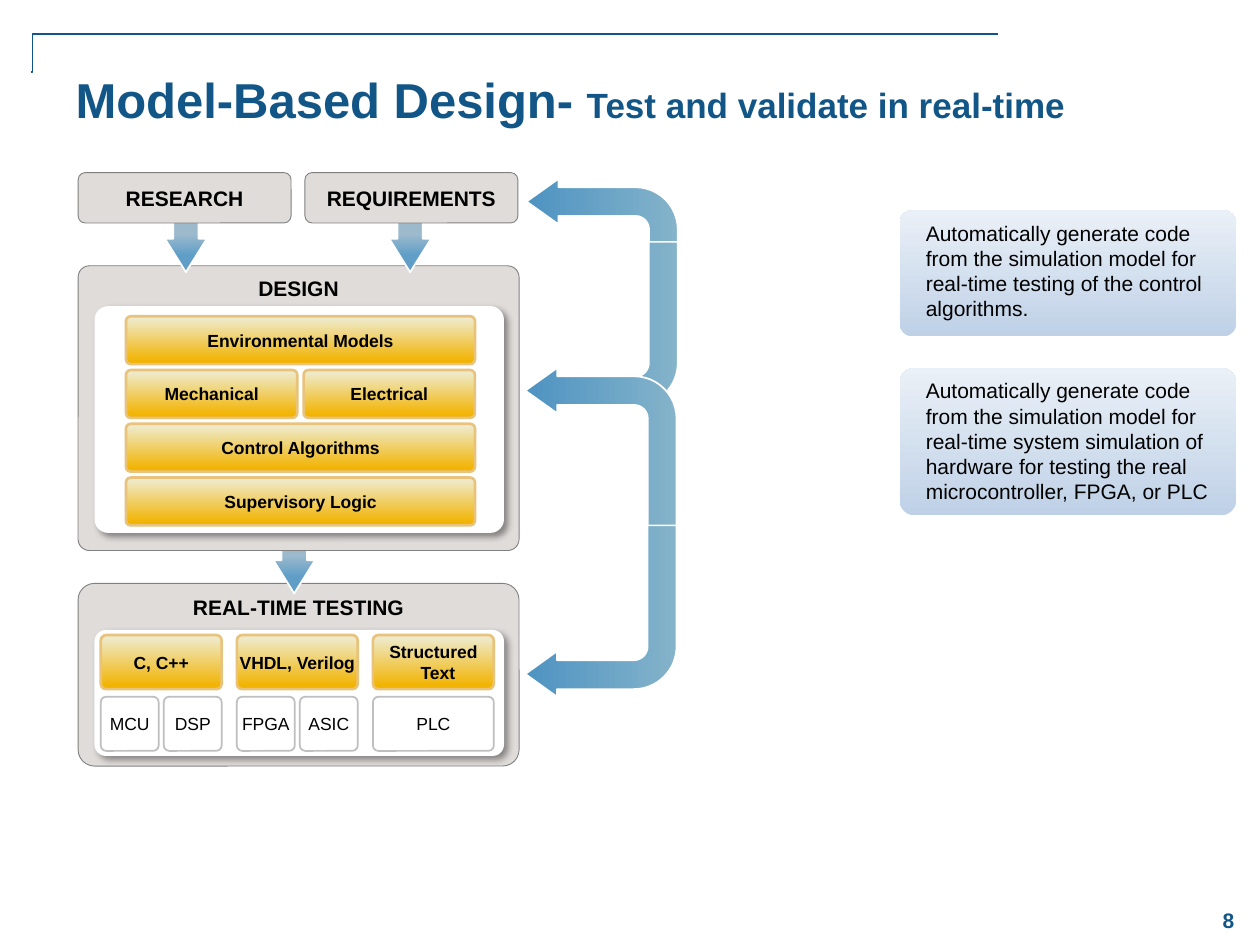
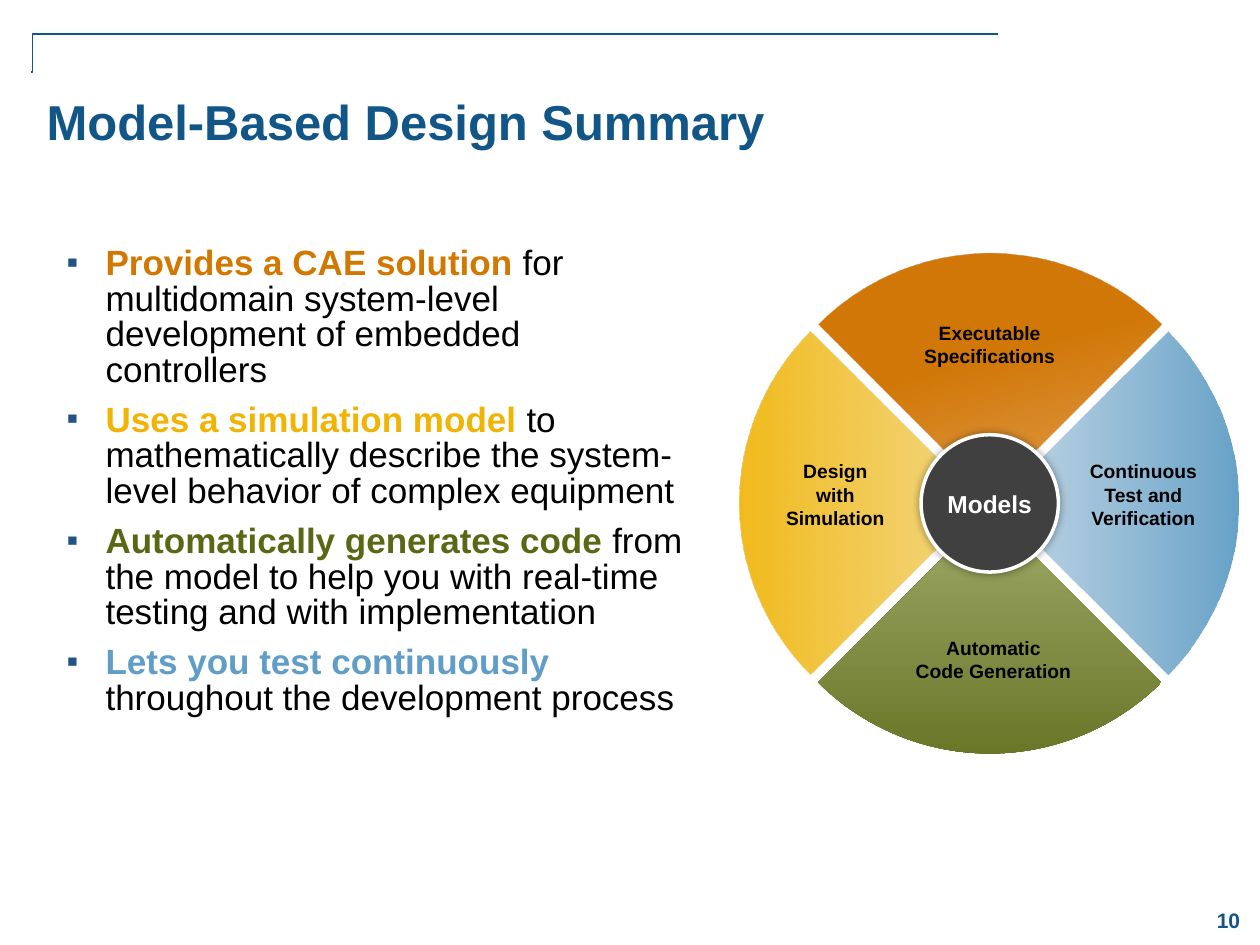
"""Build two slides on model-based design: real-time testing and a summary."""
import math

import lxml.etree
import pptx
import pptx.dml.color
import pptx.enum.shapes
import pptx.enum.text
import pptx.oxml.ns
import pptx.util

Inches = pptx.util.Inches
Pt = pptx.util.Pt
qn = pptx.oxml.ns.qn
SHAPES = pptx.enum.shapes.MSO_SHAPE
ALIGN = pptx.enum.text.PP_ALIGN
ANCHOR = pptx.enum.text.MSO_ANCHOR

FONT = "Arial"
COLORS = {
    "navy": "125687", "black": "000000", "white": "FFFFFF",
    "panel": "E0DCDA", "panel_line": "808080", "chip_line": "BFBFBF",
    "gold": "F2B404", "cream": "EEEACA", "gold_line": "E9C27B",
    "steel": "9CBACC", "blue": "609EC8", "flow": "4E93C2", "flow_end": "84B3CA",
    "callout": "BFD1E7", "callout_end": "EAF0F7", "bullet": "215383",
    "orange": "D27800", "orange_fill": "D27809", "peach": "FDE5C7",
    "olive": "5A6816", "lime": "EBF2C3", "hub": "404040",
}
GOLD_BLEND = ((7, "gold", 100), (95, "cream", 100))
ARROW_BLEND = ((60, "steel", 100), (82, "blue", 100))
FLOW_BLEND = ((0, "flow", 100), (100, "flow_end", 100))
CALLOUT_BLEND = ((0, "callout", 100), (100, "callout_end", 100))


def rgb(name):
    return pptx.dml.color.RGBColor.from_string(COLORS[name])


def add_element(parent, tag, **attributes):
    element = lxml.etree.SubElement(parent, qn(tag))
    for key, value in attributes.items():
        element.set(key, str(value))
    return element


def set_line(shape, color, width):
    if color is None:
        shape.line.fill.background()
    else:
        shape.line.color.rgb = rgb(color)
        shape.line.width = Pt(width)


def set_gradient(shape, stops, angle):
    """Fill with (position, color, opacity) stops; the angle runs clockwise."""
    shape.fill.gradient()
    shape.fill.gradient_angle = (360 - angle) % 360
    for stop, (position, color, _) in zip(shape.fill.gradient_stops, stops):
        stop.position = position / 100
        stop.color.rgb = rgb(color)
    color_elements = list(shape._element.spPr.iter(qn("a:srgbClr")))
    for element, (_, _, opacity) in zip(color_elements, stops):
        if opacity < 100:
            add_element(element, "a:alpha", val=opacity * 1000)


def set_shadow(shape, blur, distance, angle):
    effects = shape._element.spPr.find(qn("a:effectLst"))
    shadow = add_element(effects, "a:outerShdw", blurRad=Pt(blur), dist=Pt(distance),
                         dir=angle * 60000, algn="ctr", rotWithShape=0)
    color = add_element(shadow, "a:srgbClr", val=COLORS["black"])
    add_element(color, "a:alpha", val=40000)


def set_hanging(paragraph, indent):
    properties = paragraph._p.get_or_add_pPr()
    properties.set("marL", str(Inches(indent)))
    properties.set("indent", str(-Inches(indent)))
    return properties


def add_run(paragraph, text, size, color="black", bold=False):
    run = paragraph.add_run()
    run.text = text
    run.font.name = FONT
    run.font.size = Pt(size)
    run.font.bold = bold
    run.font.color.rgb = rgb(color)


def set_text(shape, lines, size, color="black", bold=False, align=ALIGN.CENTER,
             anchor=ANCHOR.MIDDLE, inset=None, hanging=0):
    frame = shape.text_frame
    frame.word_wrap = True
    frame.vertical_anchor = anchor
    if inset is not None:
        frame.margin_left = frame.margin_right = Inches(inset)
        frame.margin_top = frame.margin_bottom = Inches(inset)
    for index, line in enumerate(lines):
        paragraph = frame.paragraphs[0] if index == 0 else frame.add_paragraph()
        paragraph.alignment = align
        if hanging:
            set_hanging(paragraph, hanging)
        add_run(paragraph, line, size, color, bold)


def add_box(slide, kind, at, fill=None, blend=None, angle=0, line=None, width=1,
            adjustments=(), rotation=0):
    shape = slide.shapes.add_shape(kind, *map(Inches, at))
    shape.shadow.inherit = False
    shape.rotation = rotation
    for index, value in enumerate(adjustments):
        shape.adjustments[index] = value
    if blend:
        set_gradient(shape, blend, angle)
    else:
        shape.fill.solid()
        shape.fill.fore_color.rgb = rgb(fill)
    set_line(shape, line, width)
    return shape


def add_text(slide, at, lines, size, **style):
    set_text(slide.shapes.add_textbox(*map(Inches, at)), lines, size, **style)


def add_panel(slide, at, corner, label, anchor=ANCHOR.TOP):
    panel = add_box(slide, SHAPES.ROUNDED_RECTANGLE, at, fill="panel",
                    line="panel_line", width=0.5, adjustments=[corner])
    set_text(panel, [label], 12, bold=True, anchor=anchor)


def add_inner_panel(slide, at, corner):
    panel = add_box(slide, SHAPES.ROUNDED_RECTANGLE, at, fill="white",
                    adjustments=[corner])
    set_shadow(panel, 4, 3, 45)


def add_gold_box(slide, at, label):
    box = add_box(slide, SHAPES.ROUNDED_RECTANGLE, at, blend=GOLD_BLEND, angle=270,
                  line="gold_line", width=1.5, adjustments=[0.1])
    set_text(box, [label], 10, bold=True, inset=0.01, hanging=0.07)


def add_target_chip(slide, at, label):
    chip = add_box(slide, SHAPES.ROUNDED_RECTANGLE, at, fill="white",
                   line="chip_line", adjustments=[0.1])
    set_text(chip, [label], 10, inset=0)


def add_down_arrow(slide, left, top):
    add_box(slide, SHAPES.LEFT_RIGHT_ARROW, (left, top, 0.75, 0.33),
            blend=ARROW_BLEND, line="white", adjustments=[0.61, 0.8], rotation=90)


def arc(center_x, center_y, radius, start, end, steps=16):
    angles = [math.radians(start + (end - start) * i / steps) for i in range(steps + 1)]
    return [(center_x + radius * math.cos(a), center_y + radius * math.sin(a))
            for a in angles]


def add_feedback_loop(slide, left, top, upper_height, lower_top):
    """Draw a bent arrow up to one stage and a mirrored elbow down to the next."""
    upper = add_box(slide, SHAPES.BENT_ARROW, (left, top, 1.2, upper_height),
                    blend=FLOW_BLEND, angle=180, line="white",
                    adjustments=[0.19, 0.15, 0.21, 0.28])
    upper._element.spPr.find(qn("a:xfrm")).set("flipH", "1")
    outline = [(1.2, 0), *arc(0.86, 0.96, 0.34, 0, 90)]
    outline += [(0.25, 1.3), (0.25, 1.36), (0, 1.18), (0.25, 1), (0.25, 1.07)]
    outline += [*arc(0.86, 0.96, 0.11, 90, 0), (0.97, 0)]
    points = [(Inches(left + x), Inches(lower_top + y)) for x, y in outline]
    builder = slide.shapes.build_freeform(*points[0])
    builder.add_line_segments(points[1:], close=True)
    elbow = builder.convert_to_shape()
    elbow.shadow.inherit = False
    set_gradient(elbow, FLOW_BLEND, 0)
    set_line(elbow, "white", 1)


def add_callout(slide, top, height, text):
    add_box(slide, SHAPES.ROUNDED_RECTANGLE, (7.14, top, 2.67, height),
            blend=CALLOUT_BLEND, angle=270, adjustments=[0.1])
    add_text(slide, (7.25, top + 0.03, 2.5, height - 0.07), [text], 12,
             align=ALIGN.LEFT, anchor=ANCHOR.TOP)


def add_base_slide(presentation, title_at, title_runs, number):
    slide = presentation.slides.add_slide(presentation.slide_layouts[5])
    rule = slide.shapes.add_connector(pptx.enum.shapes.MSO_CONNECTOR.ELBOW,
                                      *map(Inches, (7.92, 0.27, 0.25, 0.57)))
    set_line(rule, "navy", 1)
    properties = rule._element.spPr
    add_element(properties, "a:effectLst")
    guides = properties.find(qn("a:prstGeom")).find(qn("a:avLst"))
    add_element(guides, "a:gd", name="adj1", fmla="val 99900")
    add_text(slide, (9.5, 7.09, 0.5, 0.42), [number], 12, color="navy", bold=True)
    title = slide.shapes.title
    title.left, title.top, title.width, title.height = map(Inches, title_at)
    title.text_frame.vertical_anchor = ANCHOR.TOP
    paragraph = title.text_frame.paragraphs[0]
    paragraph.alignment = ALIGN.LEFT
    for text, size in title_runs:
        add_run(paragraph, text, size, "navy", True)
    return slide


def add_bullets(slide, at, items):
    frame = slide.shapes.add_textbox(*map(Inches, at)).text_frame
    frame.word_wrap = True
    for index, (lead, color, rest) in enumerate(items):
        paragraph = frame.paragraphs[0] if index == 0 else frame.add_paragraph()
        properties = set_hanging(paragraph, 0.31)
        bullet_color = add_element(properties, "a:buClr")
        add_element(bullet_color, "a:srgbClr", val=COLORS["bullet"])
        add_element(properties, "a:buSzPct", val=95000)
        add_element(properties, "a:buFont", typeface=FONT)
        add_element(properties, "a:buChar", char="▪")
        paragraph.line_spacing = 0.85
        paragraph.space_before = Pt(4 if index else 0)
        paragraph.space_after = Pt(4)
        add_run(paragraph, lead, 20, color, True)
        add_run(paragraph, rest, 20)


def build_testing_slide(presentation):
    slide = add_base_slide(
        presentation, (0.5, 0.5, 8.83, 1.08),
        [("Model-Based Design- ", 28), ("Test and validate in real-time", 20)], "8")
    add_panel(slide, (0.62, 4.63, 3.5, 1.45), 0.09, "REAL-TIME TESTING")
    add_inner_panel(slide, (0.75, 5, 3.25, 1), 0.09)
    add_down_arrow(slide, 1.96, 4.17)
    add_feedback_loop(slide, 4.18, 1.42, 1.33, 1.92)
    add_panel(slide, (0.62, 2.11, 3.5, 2.26), 0.04, "DESIGN")
    add_inner_panel(slide, (0.75, 2.43, 3.25, 1.8), 0.06)

    design_rows = [["Environmental Models"], ["Mechanical", "Electrical"],
                   ["Control Algorithms"], ["Supervisory Logic"]]
    for row, labels in enumerate(design_rows):
        width = 2.77 if len(labels) == 1 else 1.36
        for column, label in enumerate(labels):
            add_gold_box(slide, (1 + 1.41 * column, 2.51 + 1.28 * row / 3, width, 0.38),
                         label)
    add_feedback_loop(slide, 4.17, 2.92, 2.08, 4.17)

    for column, label in enumerate(["RESEARCH", "REQUIREMENTS"]):
        add_down_arrow(slide, 1.1 + 1.78 * column, 1.62)
        add_panel(slide, (0.62 + 1.8 * column, 1.37, 1.69, 0.4), 0.14, label,
                  ANCHOR.MIDDLE)

    code_targets = [("C, C++", ["MCU", "DSP"]), ("VHDL, Verilog", ["FPGA", "ASIC"]),
                    ("Structured Text", ["PLC"])]
    for column, (language, targets) in enumerate(code_targets):
        left = 0.8 + 1.08 * column
        add_gold_box(slide, (left, 5.04, 0.96, 0.43), language)
        width = 0.96 if len(targets) == 1 else 0.46
        for index, target in enumerate(targets):
            add_target_chip(slide, (left + 0.5 * index, 5.53, width, 0.43), target)

    add_callout(slide, 1.67, 1, "Automatically generate code from the simulation model "
                "for real-time testing of the control algorithms.")
    add_callout(slide, 2.92, 1.17, "Automatically generate code from the simulation model "
                "for real-time system simulation of hardware for testing the real "
                "microcontroller, FPGA, or PLC")


def build_summary_slide(presentation):
    slide = add_base_slide(presentation, (0.27, 0.68, 9.17, 1.25),
                           [("Model-Based Design Summary", 28)], "10")
    add_bullets(slide, (0.43, 1.91, 5.1, 4.83), [
        ("Provides a CAE solution ", "orange",
         "for multidomain system-level development of embedded controllers"),
        ("Uses a simulation model ", "gold",
         "to mathematically describe the system-level behavior of complex equipment"),
        ("Automatically generates code ", "olive",
         "from the model to help you with real-time testing and with implementation"),
        ("Lets you test continuously ", "blue", "throughout the development process"),
    ])
    wedges = [
        (5.93, 2.01, 45, 30, ((34, "orange_fill", 100), (100, "peach", 82))),
        (5.87, 2.07, 315, 45, ((7, "gold", 100), (95, "cream", 60))),
        (5.98, 2.07, 135, 45, ((0, "blue", 100), (100, "steel", 48))),
        (5.93, 2.13, 225, 45, ((4, "olive", 100), (100, "lime", 100))),
    ]
    for left, top, rotation, angle, blend in wedges:
        add_box(slide, SHAPES.PIE, (left, top, 3.85, 3.85), blend=blend, angle=angle,
                adjustments=[108, 162], rotation=rotation)
    wedge_labels = [
        ((6.04, 3.6, 1.18, 0.77), ["Design", "with", "Simulation"]),
        ((7.12, 2.5, 1.47, 0.47), ["Executable", "Specifications"]),
        ((8.38, 3.6, 1.39, 0.77), ["Continuous", "Test and", "Verification"]),
        ((7, 5, 1.77, 0.47), ["Automatic", "Code Generation"]),
    ]
    for at, lines in wedge_labels:
        add_text(slide, at, lines, 11, bold=True, anchor=ANCHOR.TOP)
    hub = add_box(slide, SHAPES.OVAL, (7.31, 3.45, 1.09, 1.09), fill="hub",
                  line="white", width=2)
    set_shadow(hub, 5, 0, 0)
    set_text(hub, ["Models"], 14, color="white", bold=True, inset=0)


def main():
    presentation = pptx.Presentation()
    presentation.slide_width = Inches(10)
    presentation.slide_height = Inches(7.5)
    build_testing_slide(presentation)
    build_summary_slide(presentation)
    presentation.save("out.pptx")


if __name__ == "__main__":
    main()
